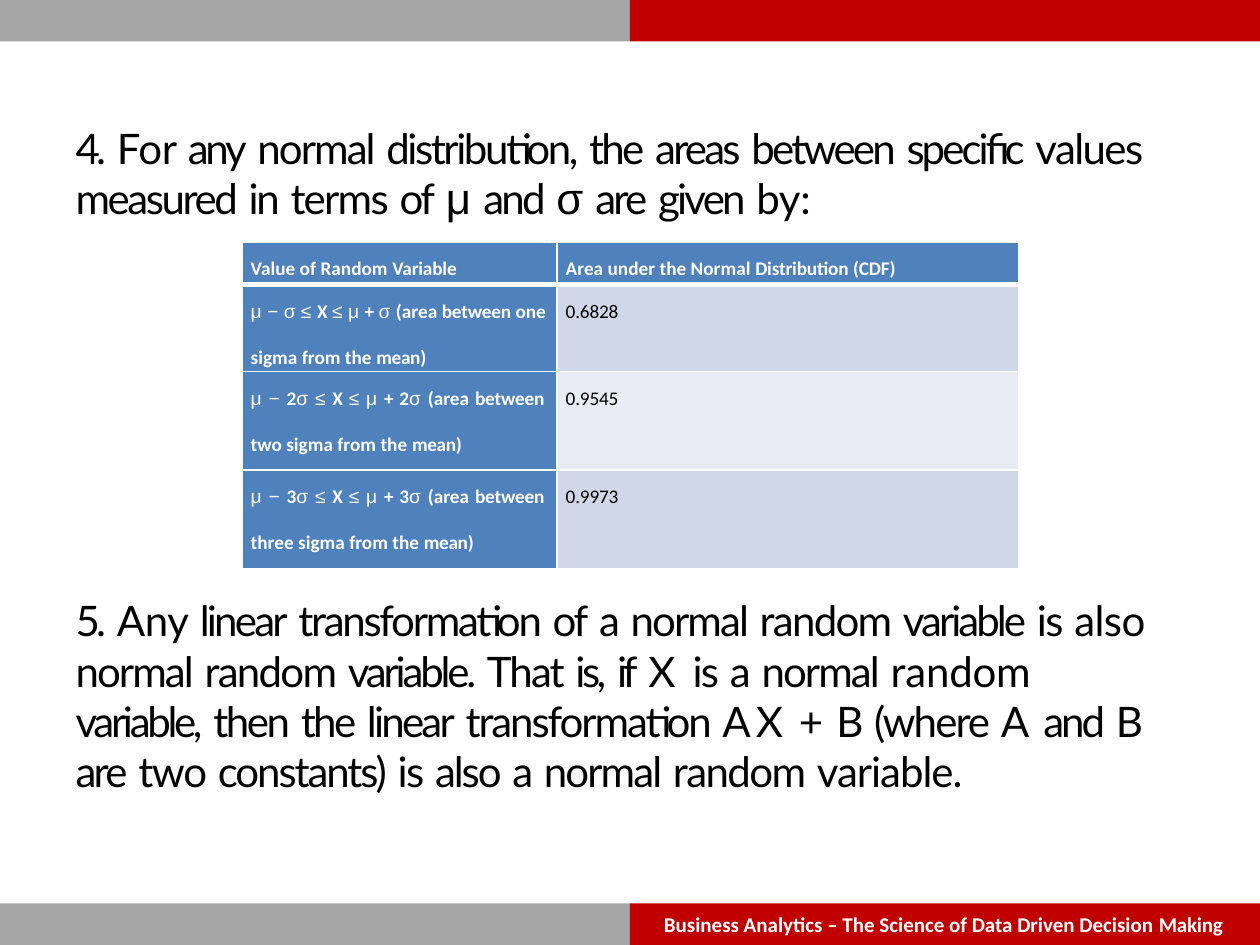
from itertools import groupby

from lxml.etree import SubElement
from pptx import Presentation
from pptx.dml.color import RGBColor
from pptx.enum.shapes import MSO_SHAPE as Shape
from pptx.enum.text import MSO_ANCHOR as Anchor, MSO_AUTO_SIZE as AutoSize, PP_ALIGN as Align
from pptx.oxml.ns import qn
from pptx.util import Inches, Pt

RED = RGBColor(0xC0, 0x00, 0x00)
GREY = RGBColor(0xA6, 0xA6, 0xA6)
BLUE = RGBColor(0x4F, 0x81, 0xBC)
BAND = RGBColor(0xD0, 0xD7, 0xE8)
LIGHT = RGBColor(0xE9, 0xEC, 0xF4)
WHITE = RGBColor(0xFF, 0xFF, 0xFF)
BLACK = RGBColor(0x00, 0x00, 0x00)

# Content: spans are (text, letter spacing in points, optional format)
GREEK = {"font": "Arial", "size": 25}
SYMBOL = {"font": "Arial", "bold": False}

TITLE = [
    ("4. ", -2.2), ("For ", -0.2), ("any ", -1.9), ("normal ", -1.1),
    ("distribution, ", -1.4), ("the ", -1.5), ("areas between ", -1.6),
    ("specific ", -1.7), ("values ", -0.9), ("measured in ", -1.4),
    ("terms ", -1), ("of ", -1.4), ("μ ", 0, GREEK), ("and ", -1.6),
    ("σ ", 0, GREEK), ("are given ", -1.6), ("by:", -0.2),
]
BODY = [
    ("5. ", -2.2), ("Any ", -0.2), ("linear ", -1.6), ("transformation ", -1.3),
    ("of ", -1.4), ("a ", -2.4), ("normal ", -1.1), ("random ", -1),
    ("variable ", -1.7), ("is ", -0.9), ("also ", -0.3), ("normal ", -1.1),
    ("random ", -1), ("variable. ", -1.8), ("That ", -1.1), ("is, ", -2),
    ("if ", -2.4), ("X ", 3.6), ("is ", -1), ("a ", -2.4), ("normal ", -1.1),
    ("random ", -0.1), ("variable, ", -1.9), ("then ", -1.4), ("the ", -1.5),
    ("linear ", -1.6), ("transformation ", -1.2), ("AX ", 2.8), ("+ ", 1.4),
    ("B ", 0), ("(where ", -1.1), ("A ", 1.8), ("and ", -1.7), ("B ", -0.5),
    ("are ", -1.6), ("two ", -0.8), ("constants) ", -1.2), ("is ", -0.9),
    ("also ", -1.2), ("a ", -2.4), ("normal ", -1.1), ("random ", -0.9),
    ("variable.", -0.6),
]
FOOTER = [("Business Analytics – The Science of Data Driven Decision ", 0), ("Making", -0.1)]
HEADERS = [
    [("Value of Random ", 0), ("Variable", -0.1)],
    [("Area under the Normal ", 0), ("Distribution (CDF)", -0.1)],
]
# Multiple of sigma, ends of the two label lines, area, extra word gap in points
AREAS = [
    ("", "between one", "sigma from the ", "0.6828", 0),
    ("2", "between", "two sigma from the ", "0.9545", 0.8),
    ("3", "between", "three sigma from the ", "0.9973", 0.8),
]
COLUMN_WIDTHS = [2.5, 3.66]
ROW_HEIGHTS = [0.34, 0.69, 0.78, 0.78]


def range_label(multiple, first_end, second_start):
    interval = [
        ("μ − ", 0, SYMBOL), (multiple, 0), ("σ ≤ ", 0, SYMBOL), ("X ", 0),
        ("≤ μ ", 0, SYMBOL), ("+ " + multiple, 0), ("σ ", 0, SYMBOL),
        ("(area ", 0), (first_end, -0.1),
    ]
    return interval, [(second_start, 0), ("mean)", -0.2)]


def write(frame, *lines, font="Calibri", size=11, color=WHITE, bold=False,
          line=None, gap=0, insets=(0, 0, 0, 0)):
    """Letter spacing applies to words; the first line's spaces get gap instead."""
    frame.word_wrap = True
    (frame.margin_left, frame.margin_top,
     frame.margin_right, frame.margin_bottom) = map(Inches, insets)
    for number, spans in enumerate(lines):
        para = frame.add_paragraph() if number else frame.paragraphs[0]
        para.alignment = Align.LEFT
        para.space_before = Pt(12.9 if number else 0)
        if line:
            para.line_spacing = line
        for text, spacing, *special in spans:
            style = {"font": font, "size": size, "bold": bold}
            style.update(*special)
            for blank, letters in groupby(text, str.isspace):
                span = para.add_run()
                span.text = "".join(letters)
                span.font.name = style["font"]
                span.font.size = Pt(style["size"])
                span.font.bold = style["bold"]
                span.font.color.rgb = color
                points = (0 if number else gap) if blank else spacing
                if points:
                    span.font._element.set("spc", str(round(points * 100)))


def add_borders(cell, **widths):
    properties = cell._tc.get_or_add_tcPr()
    for index, (side, width) in enumerate(widths.items()):
        edge = properties.makeelement(qn("a:ln" + side), {"w": str(Pt(width))})
        fill = SubElement(edge, qn("a:solidFill"))
        SubElement(fill, qn("a:srgbClr"), val=str(WHITE))
        properties.insert(index, edge)


def add_text(page, left, top, width, height, spans, **style):
    box = page.shapes.add_textbox(*map(Inches, (left, top, width, height)))
    write(box.text_frame, spans, **style)


deck = Presentation()
deck.slide_width, deck.slide_height = Inches(10), Inches(7.5)
page = deck.slides.add_slide(deck.slide_layouts[5])

# Bars along the top and bottom edges
for top in (0, 7.17):
    for left, color in ((0, GREY), (5, RED)):
        bar = page.shapes.add_shape(Shape.RECTANGLE, *map(Inches, (left, top, 5, 0.33)))
        bar.shadow.inherit = False
        bar.fill.solid()
        bar.fill.fore_color.rgb = color
        bar.line.fill.background()

# Title
title = page.shapes.title
title.left, title.top, title.width, title.height = map(Inches, (0.59, 0.94, 8.61, 0.83))
title.text_frame.auto_size = AutoSize.NONE
title.text_frame.vertical_anchor = Anchor.TOP
write(title.text_frame, TITLE, font="Lato", size=24, color=BLACK,
      line=Pt(28.9), insets=(0.01, 0.03, 0, 0))

# Statement and footer
add_text(page, 0.59, 4.7, 8.59, 1.63, BODY, font="Lato", size=24, color=BLACK,
         insets=(0.01, 0.02, 0, 0))
add_text(page, 5.26, 7.25, 4.48, 0.2, FOOTER, size=12, bold=True,
         line=Pt(12.4), insets=(0.01, 0.01, 0, 0))

# Table of areas: each cell is a list of lines and its word gap
rows = [[([header], 0) for header in HEADERS]]
for multiple, first_end, second_start, area, gap in AREAS:
    rows.append([(range_label(multiple, first_end, second_start), gap),
                 ([[(area, -0.1)]], 0)])
table = page.shapes.add_table(
    len(rows), len(COLUMN_WIDTHS), Inches(1.92), Inches(1.92),
    Inches(sum(COLUMN_WIDTHS)), Inches(sum(ROW_HEIGHTS))).table
for column, width in zip(table.columns, COLUMN_WIDTHS):
    column.width = Inches(width)
for row, height in zip(table.rows, ROW_HEIGHTS):
    row.height = Inches(height)

row_edges = [0.5, 3, 1, 1, 0.75]
column_edges = [0.5, 1, 0.5]
for r, row in enumerate(rows):
    for c, (lines, gap) in enumerate(row):
        cell = table.cell(r, c)
        heading = r == 0 or c == 0
        write(cell.text_frame, *lines, color=WHITE if heading else BLACK,
              bold=heading, gap=gap)
        cell.margin_left, cell.margin_right = Inches(0.07), 0
        cell.margin_top, cell.margin_bottom = Inches(0.12), 0
        cell.fill.solid()
        cell.fill.fore_color.rgb = BLUE if heading else (LIGHT, BAND)[r % 2]
        add_borders(cell, L=column_edges[c], R=column_edges[c + 1],
                    T=row_edges[r], B=row_edges[r + 1])

deck.save("out.pptx")
